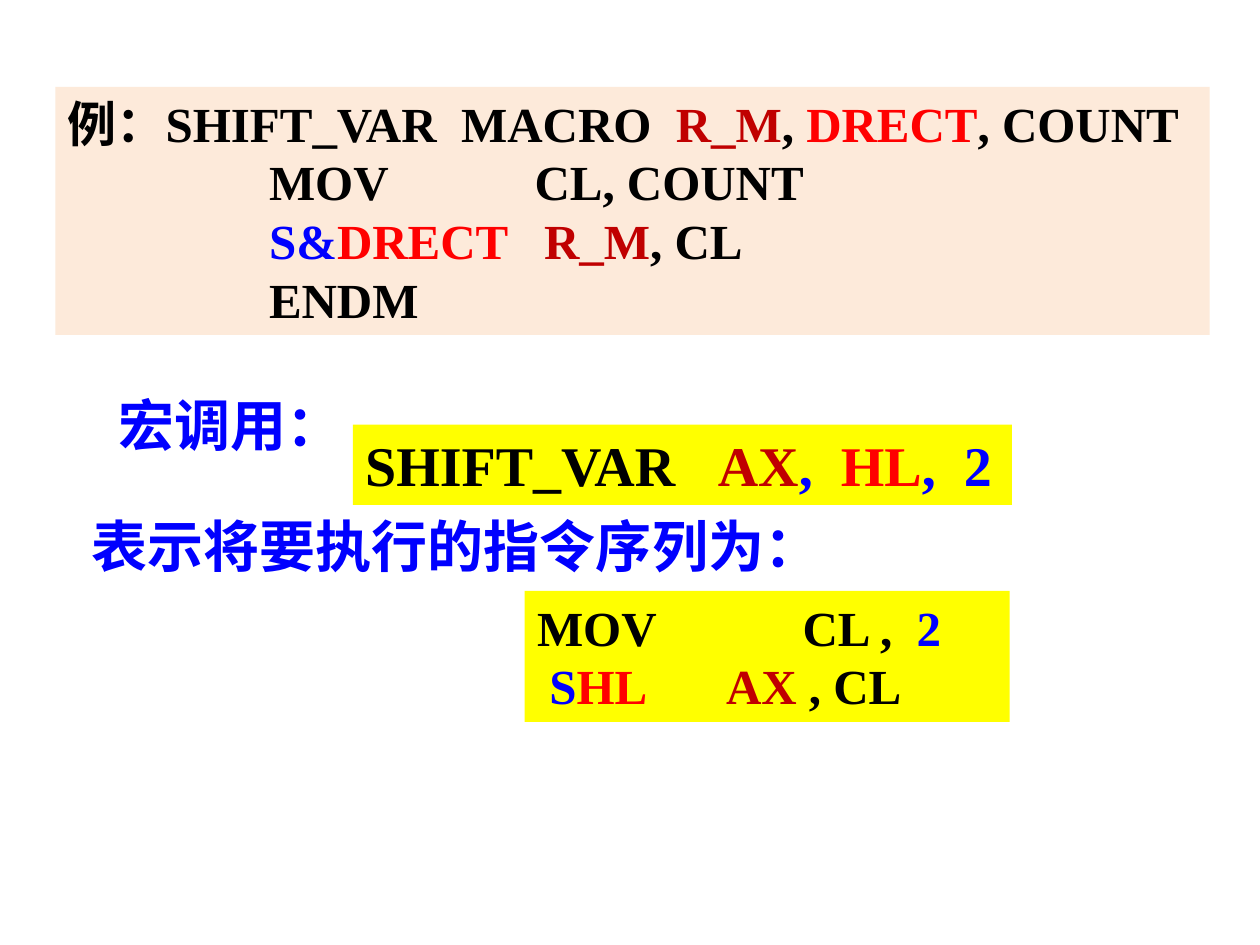
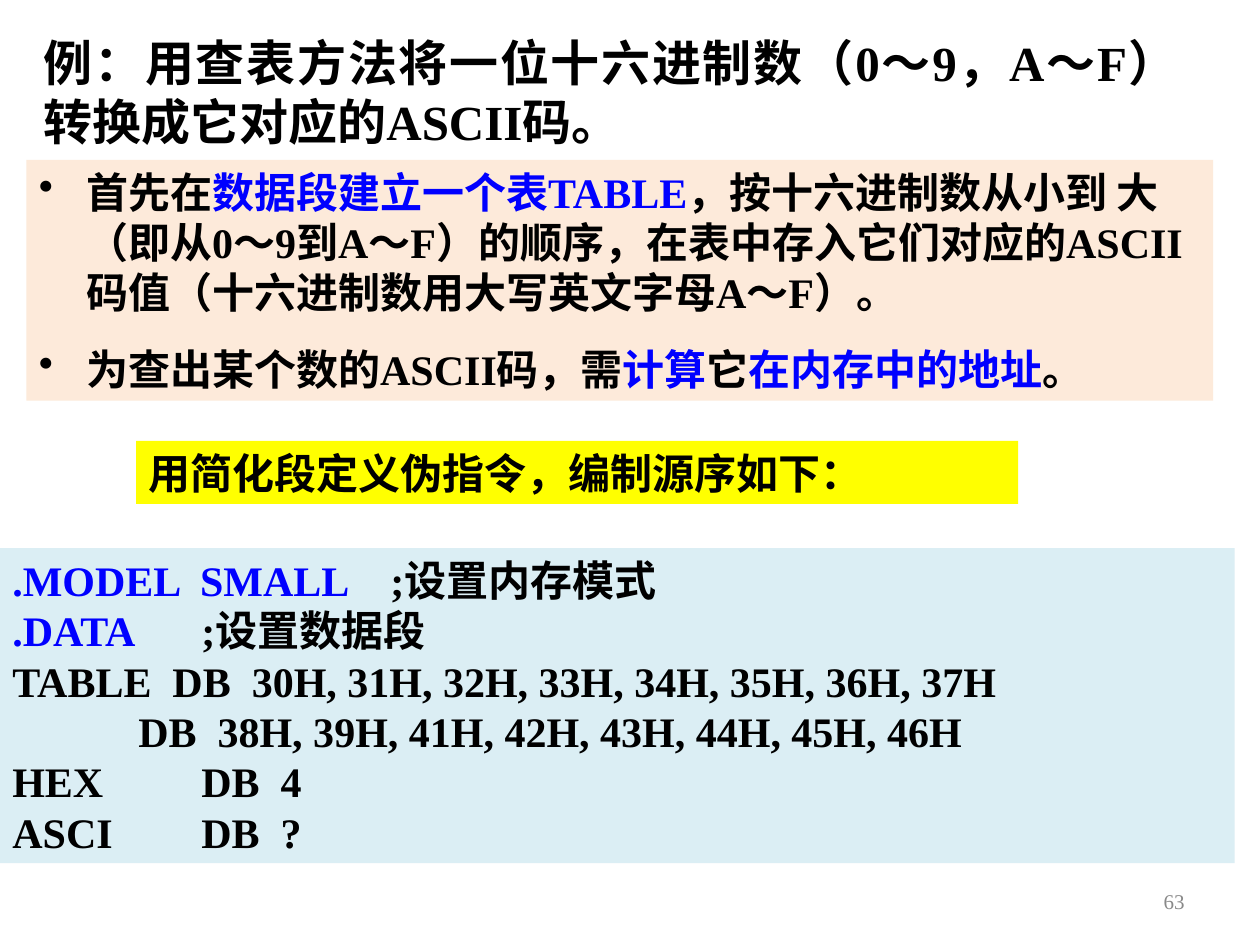
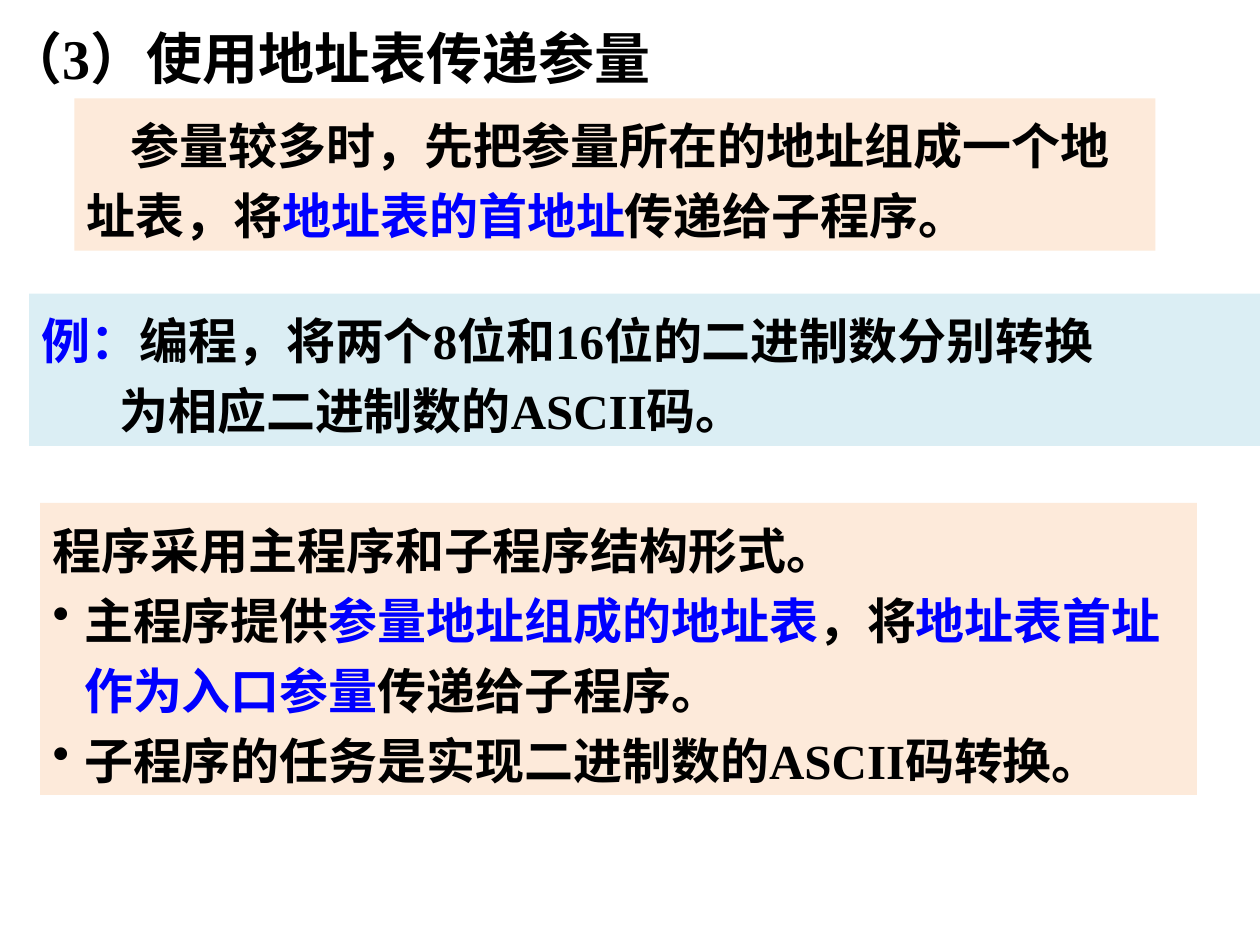
from dataclasses import dataclass
from typing import Optional

import pptx
import pptx.dml.color
import pptx.enum.shapes
import pptx.enum.text
import pptx.oxml
import pptx.oxml.ns
import pptx.util
from lxml import etree

BLACK, BLUE, RED, DARK_RED, GREY = "000000", "0000FF", "FF0000", "C00000", "898989"
PEACH, YELLOW, PALE_BLUE = "FDEADA", "FFFF00", "DBEEF4"
LATIN, CHINESE = "Times New Roman", "Noto Sans CJK SC"
LEFT = pptx.enum.text.PP_ALIGN.LEFT
RIGHT = pptx.enum.text.PP_ALIGN.RIGHT
JUSTIFY = pptx.enum.text.PP_ALIGN.JUSTIFY
TAB_COUNT, TAB_STEP = 7, 72


@dataclass
class Span:
    text: str
    color: str = BLACK


@dataclass
class Para:
    spans: list[Span]
    left: float = 0
    first: float = 0
    bullet: bool = False


@dataclass
class Box:
    at: tuple[float, float, float, float]
    paras: list[Para]
    size: float
    fill: Optional[str] = None
    wrap: bool = True
    align: pptx.enum.text.PP_ALIGN = LEFT
    gap: float = 0
    leading: Optional[float] = None
    latin: str = LATIN
    bold: bool = True
    grow: bool = True
    middle: bool = False


def rgb(color: str) -> pptx.dml.color.RGBColor:
    return pptx.dml.color.RGBColor.from_string(color)


def add_child(parent, tag: str, **attributes: str):
    child = etree.SubElement(parent, pptx.oxml.ns.qn(tag))
    for name, value in attributes.items():
        child.set(name, value)
    return child


def format_para(paragraph, para: Para, box: Box, is_first: bool) -> None:
    properties = paragraph._p.get_or_add_pPr()
    properties.set("marL", str(pptx.util.Pt(para.left)))
    properties.set("indent", str(pptx.util.Pt(para.first)))
    if para.bullet:
        add_child(add_child(properties, "a:buClr"), "a:srgbClr", val=BLACK)
        add_child(properties, "a:buChar", char="•")
    tabs = add_child(properties, "a:tabLst")
    for number in range(1, TAB_COUNT + 1):
        add_child(tabs, "a:tab", pos=str(pptx.util.Pt(number * TAB_STEP)), algn="l")
    paragraph.alignment = box.align
    paragraph.space_before = pptx.util.Pt(0 if is_first else box.gap)
    if box.leading:
        paragraph.line_spacing = pptx.util.Pt(box.leading)


def add_span(paragraph, span: Span, box: Box) -> None:
    run = paragraph.add_run()
    run.text = span.text
    run.font.size = pptx.util.Pt(box.size)
    run.font.bold = box.bold
    run.font.color.rgb = rgb(span.color)
    run.font.name = box.latin
    add_child(run._r.get_or_add_rPr(), "a:ea", typeface=CHINESE)


def draw_box(page, box: Box) -> None:
    place = [pptx.util.Pt(length) for length in box.at]
    if box.fill:
        shape = page.shapes.add_shape(pptx.enum.shapes.MSO_SHAPE.RECTANGLE, *place)
        shape.shadow.inherit = False
        shape.fill.solid()
        shape.fill.fore_color.rgb = rgb(box.fill)
        shape.line.fill.background()
    else:
        shape = page.shapes.add_textbox(*place)
    frame = shape.text_frame
    frame.word_wrap = box.wrap
    anchors = pptx.enum.text.MSO_ANCHOR
    frame.vertical_anchor = anchors.MIDDLE if box.middle else anchors.TOP
    fits = pptx.enum.text.MSO_AUTO_SIZE
    frame.auto_size = fits.SHAPE_TO_FIT_TEXT if box.grow else fits.NONE
    for index, para in enumerate(box.paras):
        paragraph = frame.add_paragraph() if index else frame.paragraphs[0]
        format_para(paragraph, para, box, index == 0)
        for span in para.spans:
            add_span(paragraph, span, box)


def plain(text: str, color: str = BLACK) -> Para:
    return Para([Span(text, color)])


def bullet(indent: float, *spans: Span) -> Para:
    return Para(list(spans), left=indent, first=-indent, bullet=True)


MACRO_PAGE = [
    Box((31.7, 49.7, 659.5, 141.8), [
        Para([Span("例：SHIFT_VAR  MACRO  "), Span("R_M", DARK_RED), Span(", "),
              Span("DRECT", RED), Span(", COUNT")]),
        plain("\t\t\t MOV            CL, COUNT"),
        Para([Span("\t\t\t "), Span("S&", BLUE), Span("DRECT   ", RED),
              Span("R_M", DARK_RED), Span(", CL")]),
        plain("\t\t\t ENDM"),
    ], 28, PEACH, wrap=False),
    Box((201.6, 242.6, 376.6, 46), [
        Para([Span("SHIFT_VAR   "), Span("AX", DARK_RED), Span(",  ", BLUE),
              Span("HL", RED), Span(",  2", BLUE)]),
    ], 32, YELLOW, wrap=False),
    Box((45.4, 288.7, 436.3, 46), [plain("表示将要执行的指令序列为：", BLUE)], 32),
    Box((299.8, 337.7, 277.2, 74.9), [
        Para([Span("MOV            CL ,  "), Span("2", BLUE)]),
        Para([Span(" "), Span("S", BLUE), Span("HL \t\t", RED),
              Span("AX ", DARK_RED), Span(", CL")]),
    ], 28, YELLOW),
    Box((60.5, 219.6, 142.6, 46), [plain("宏调用：", BLUE)], 32, wrap=False),
]

TABLE_PAGE = [
    Box((516.2, 500.4, 167.8, 28.8), [plain("63", GREY)], 12,
        align=RIGHT, bold=False, grow=False, middle=True),
    Box((18, 15.1, 687.6, 74.9), [
        plain("例：用查表方法将一位十六进制数（0～9，A～F） \t转换成它对应的ASCII码。"),
    ], 28, align=JUSTIFY),
    Box((15.1, 91.4, 678.2, 137.5), [
        bullet(27, Span("首先在"), Span("数据段建立一个表TABLE", BLUE),
               Span("，按十六进制数从小到 大（即从0～9到A～F）的顺序，"
                    "在表中存入它们对应的ASCII码值（十六进制数用大写英文字母A～F）。")),
        bullet(27, Span("为查出某个数的ASCII码，需"), Span("计算", BLUE), Span("它"),
               Span("在内存中的地址", BLUE), Span("。")),
    ], 24, PEACH, gap=15),
    Box((77.8, 252, 504, 36), [plain("用简化段定义伪指令，编制源序如下：")], 24, YELLOW),
    Box((0, 313.2, 705.6, 180), [
        Para([Span(".MODEL  SMALL\t", BLUE), Span(";设置内存模式")]),
        Para([Span(".DATA\t\t", BLUE), Span(";设置数据段")]),
        plain("TABLE  DB  30H, 31H, 32H, 33H, 34H, 35H, 36H, 37H"),
        plain("     \t      DB  38H, 39H, 41H, 42H, 43H, 44H, 45H, 46H"),
        plain("HEX\t      DB  4"),
        plain("ASCI\t      DB  ?"),
    ], 24, PALE_BLUE, align=JUSTIFY),
]

ADDRESS_PAGE = [
    Box((-3.6, 10.1, 398.2, 46), [plain("（3）使用地址表传递参量")], 32, wrap=False),
    Box((42.5, 56.2, 617.8, 87.1), [
        Para([Span("参量较多时，先把参量所在的地址组成一个地址表，将"),
              Span("地址表的首地址", BLUE), Span("传递给子程序。")], first=25),
    ], 28, PEACH, leading=40, latin=CHINESE),
    Box((16.6, 167.8, 704.2, 87.1), [
        Para([Span("例：", BLUE), Span("编程，将两个8位和16位的二进制数分别转换")]),
        Para([Span("为相应二进制数的ASCII码。")], left=44.5),
    ], 28, PALE_BLUE, leading=40),
    Box((23, 287.3, 661, 167), [
        plain("程序采用主程序和子程序结构形式。"),
        bullet(18, Span("主程序提供"), Span("参量地址组成的地址表", BLUE), Span("，将"),
               Span("地址表首址作为入口参量", BLUE), Span("传递给子程序。")),
        bullet(18, Span("子程序的任务是实现二进制数的ASCII码转换。")),
    ], 28, PEACH, leading=40),
]


def main() -> None:
    deck = pptx.Presentation()
    deck.slide_width = pptx.util.Pt(720)
    deck.slide_height = pptx.util.Pt(540)
    for boxes in (MACRO_PAGE, TABLE_PAGE, ADDRESS_PAGE):
        page = deck.slides.add_slide(deck.slide_layouts[6])
        for box in boxes:
            draw_box(page, box)
    deck.save("out.pptx")


if __name__ == "__main__":
    main()
